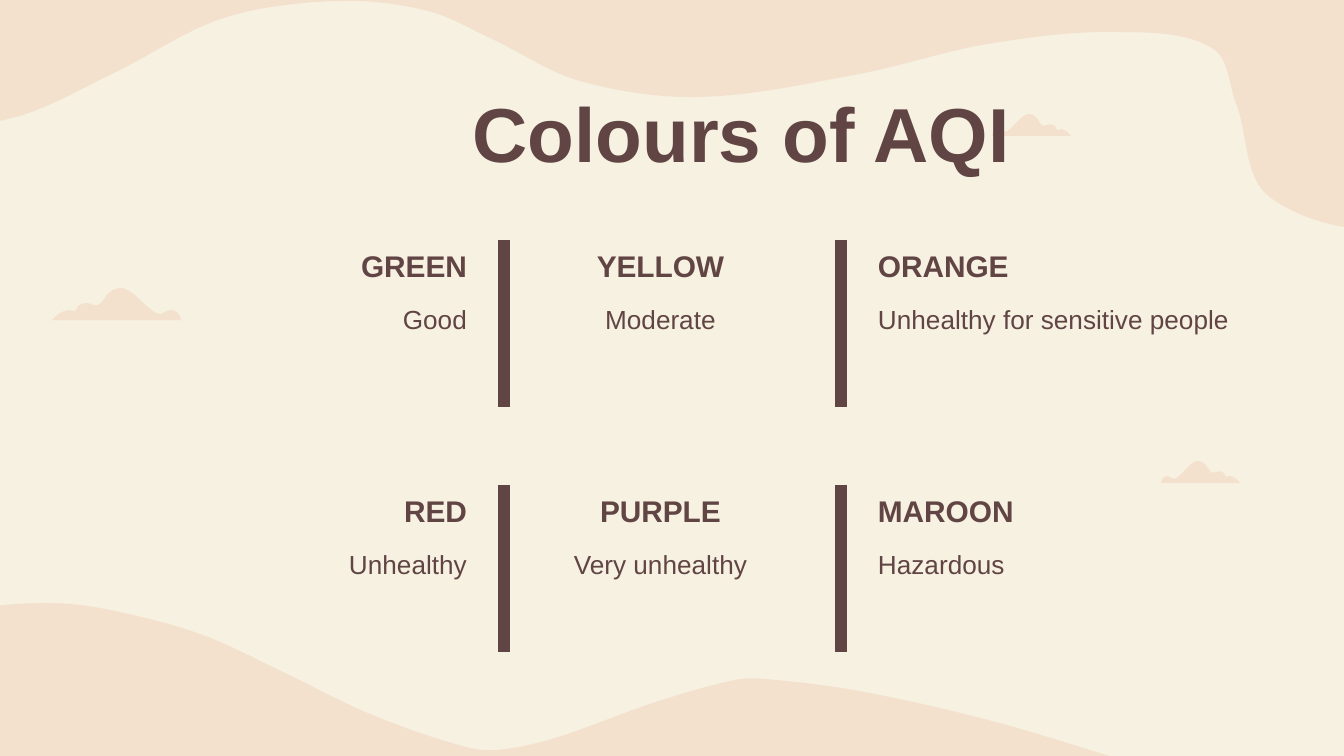
from math import dist
from typing import NamedTuple

from lxml.etree import Element
from lxml.etree import SubElement
from pptx import Presentation
from pptx.dml.color import RGBColor
from pptx.enum.shapes import MSO_CONNECTOR
from pptx.enum.text import MSO_ANCHOR, PP_ALIGN
from pptx.oxml.ns import qn
from pptx.util import Emu, Pt

EMU_PER_PX = 914400 / 134.4
SLIDE_WIDTH, SLIDE_HEIGHT = 1344, 756
CREAM, PEACH, BROWN = "F6F1E1", "F3E1CE", "614444"
FONT = "Arial"
INSET = 13

TOP_WAVE = [
    (-237, 109), (-85, 128), (16, 117), (112, 74), (224, 18), (340, 1),
    (428, 11), (492, 39), (580, 81), (700, 97), (859, 74), (988, 44),
    (1116, 32), (1212, 48), (1236, 103), (1271, 198), (1414, 230), (1715, 161),
]
TOP_CORNERS = [(1715, -102), (-237, -102)]
BOTTOM_WAVE = [
    (-277, 712), (-132, 637), (-24, 609), (47, 603), (105, 609), (200, 634),
    (285, 673), (370, 714), (462, 746), (497, 750), (555, 738), (656, 702),
    (735, 680), (765, 679), (859, 691), (992, 721), (1129, 762),
]
BOTTOM_CORNERS = [(1129, 909), (-277, 909)]

CLOUD_WIDTH, CLOUD_HEIGHT = 129, 32
CLOUD_TOP = [
    (0, 32), (8, 25), (17, 22), (23, 23), (26, 18), (34, 15), (46, 17),
    (58, 4), (69, 0), (79, 4), (87, 11), (101, 23), (108, 26), (118, 22),
    (126, 25), (129, 32),
]
SMALL_CLOUD_SIZE = (79, 22)

COLUMNS = [(215, PP_ALIGN.RIGHT), (528, PP_ALIGN.CENTER), (865, PP_ALIGN.LEFT)]
COLUMN_WIDTH = 265
DIVIDERS = [504, 841]
DIVIDER_TOP, DIVIDER_HEIGHT = 240, 167
NAME_TOP, NAME_HEIGHT = 229, 56
MEANING_TOP = 286
ROW_STEP = 245


class Level(NamedTuple):
    name: str
    meaning: str
    width: int = COLUMN_WIDTH
    height: int = 125


LEVEL_ROWS = [
    [Level("GREEN", "Good", height=60),
     Level("YELLOW", "Moderate", height=60),
     Level("ORANGE", "Unhealthy for sensitive people", width=480)],
    [Level("RED", "Unhealthy"),
     Level("PURPLE", "Very unhealthy"),
     Level("MAROON", "Hazardous")],
]


def px(length):
    return Emu(round(length * EMU_PER_PX))


def color(hex_value):
    return RGBColor.from_string(hex_value)


def handle(knot, before, after, reach):
    scale = reach / 3 / dist(before, after)
    return tuple(k + (a - b) * scale for k, b, a in zip(knot, before, after))


def smooth_curves(knots):
    padded = [knots[0], *knots, knots[-1]]
    points = []
    for before, start, end, after in zip(padded, padded[1:], padded[2:], padded[3:]):
        reach = dist(start, end)
        points += [handle(start, before, end, reach),
                   handle(end, after, start, reach),
                   end]
    return points


def bend_lines(shape, curve_count):
    lines = list(shape.element.iter(qn("a:lnTo")))
    for index in range(curve_count):
        curve = Element(qn("a:cubicBezTo"))
        group = lines[3 * index:3 * index + 3]
        group[0].addprevious(curve)
        for line in group:
            curve.append(line[0])
            line.getparent().remove(line)


def add_smooth_shape(slide, knots, corners=()):
    outline = [knots[0], *smooth_curves(knots), *corners]
    points = [(px(x), px(y)) for x, y in outline]
    builder = slide.shapes.build_freeform(*points[0], scale=1.0)
    builder.add_line_segments(points[1:], close=True)
    shape = builder.convert_to_shape()
    bend_lines(shape, len(knots) - 1)
    shape.shadow.inherit = False
    shape.fill.solid()
    shape.fill.fore_color.rgb = color(PEACH)
    shape.line.fill.background()


def add_cloud(slide, left, top, width, height, mirrored=False):
    knots = []
    for x, y in CLOUD_TOP:
        across = CLOUD_WIDTH - x if mirrored else x
        knots.append((left + across * width / CLOUD_WIDTH,
                      top + y * height / CLOUD_HEIGHT))
    add_smooth_shape(slide, knots)


def add_text(slide, box, text, size, alignment, bold=False, spacing=1.15):
    text_frame = slide.shapes.add_textbox(*map(px, box)).text_frame
    text_frame.word_wrap = True
    text_frame.vertical_anchor = MSO_ANCHOR.TOP
    text_frame.margin_left = text_frame.margin_right = px(INSET)
    text_frame.margin_top = text_frame.margin_bottom = px(INSET)
    text_frame.text = text
    paragraph = text_frame.paragraphs[0]
    paragraph.alignment = alignment
    paragraph.line_spacing = spacing
    font = paragraph.runs[0].font
    font.name = FONT
    font.size = Pt(size)
    font.bold = bold
    font.color.rgb = color(BROWN)
    return text_frame


def add_title(slide, text):
    title = add_text(slide, (79, 73, 1191, 85), text, 41,
                     PP_ALIGN.CENTER, bold=True, spacing=1.0)
    title.margin_left = px(INSET + 134)


def add_level(slide, level, left, offset, alignment):
    name_box = (left, NAME_TOP + offset, COLUMN_WIDTH, NAME_HEIGHT)
    meaning_box = (left, MEANING_TOP + offset, level.width, level.height)
    add_text(slide, name_box, level.name, 16, alignment, bold=True)
    add_text(slide, meaning_box, level.meaning, 14, alignment)


def add_divider(slide, x, top):
    connector = slide.shapes.add_connector(
        MSO_CONNECTOR.STRAIGHT, px(x), px(top), px(x), px(top + DIVIDER_HEIGHT))
    connector.line.color.rgb = color(BROWN)
    connector.line.width = Pt(6)
    SubElement(connector.element.spPr, qn("a:effectLst"))


def main():
    presentation = Presentation()
    presentation.slide_width = px(SLIDE_WIDTH)
    presentation.slide_height = px(SLIDE_HEIGHT)
    slide = presentation.slides.add_slide(presentation.slide_layouts[6])
    slide.background.fill.solid()
    slide.background.fill.fore_color.rgb = color(CREAM)

    add_smooth_shape(slide, TOP_WAVE, TOP_CORNERS)
    add_smooth_shape(slide, BOTTOM_WAVE, BOTTOM_CORNERS)
    add_cloud(slide, 52, 288, CLOUD_WIDTH, CLOUD_HEIGHT)
    for left, top in [(1161, 461), (992, 114)]:
        add_cloud(slide, left, top, *SMALL_CLOUD_SIZE, mirrored=True)

    add_title(slide, "Colours of AQI")
    for row, levels in enumerate(LEVEL_ROWS):
        offset = row * ROW_STEP
        for (left, alignment), level in zip(COLUMNS, levels):
            add_level(slide, level, left, offset, alignment)
        for x in DIVIDERS:
            add_divider(slide, x, DIVIDER_TOP + offset)
    presentation.save("out.pptx")


if __name__ == "__main__":
    main()
